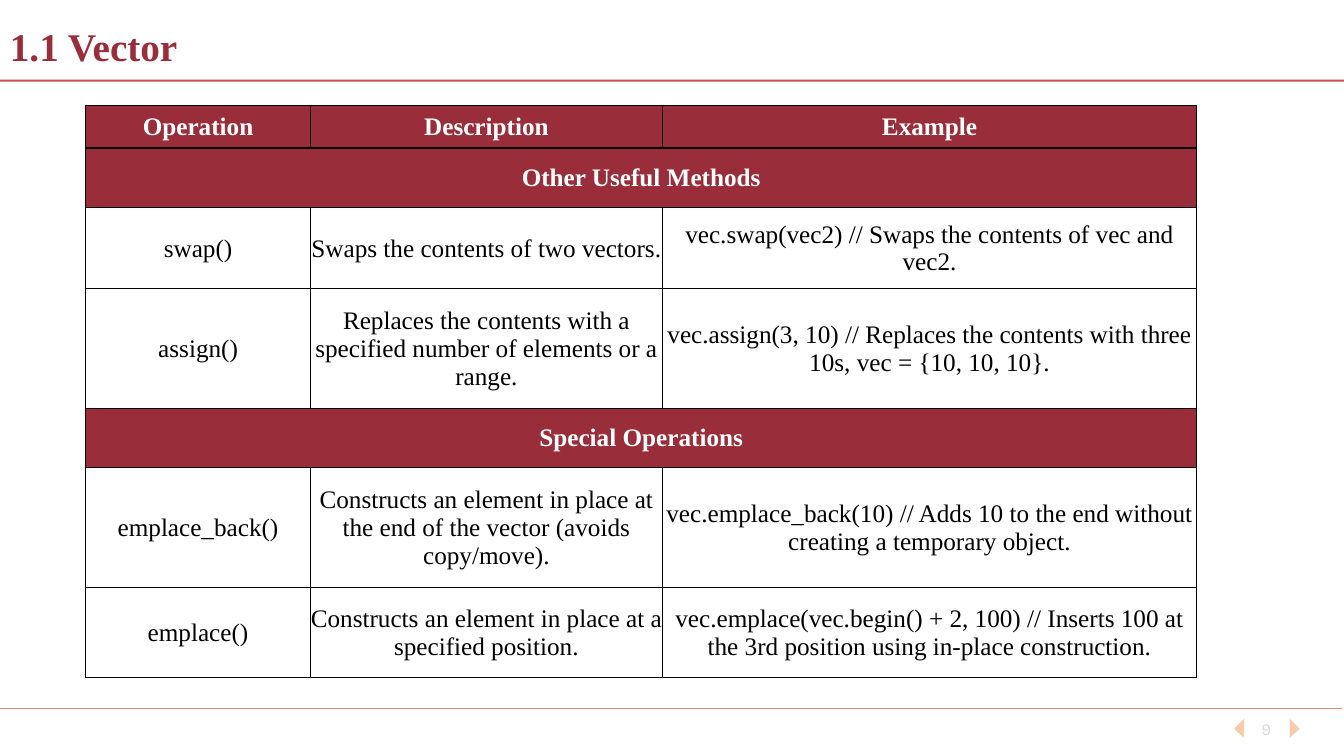
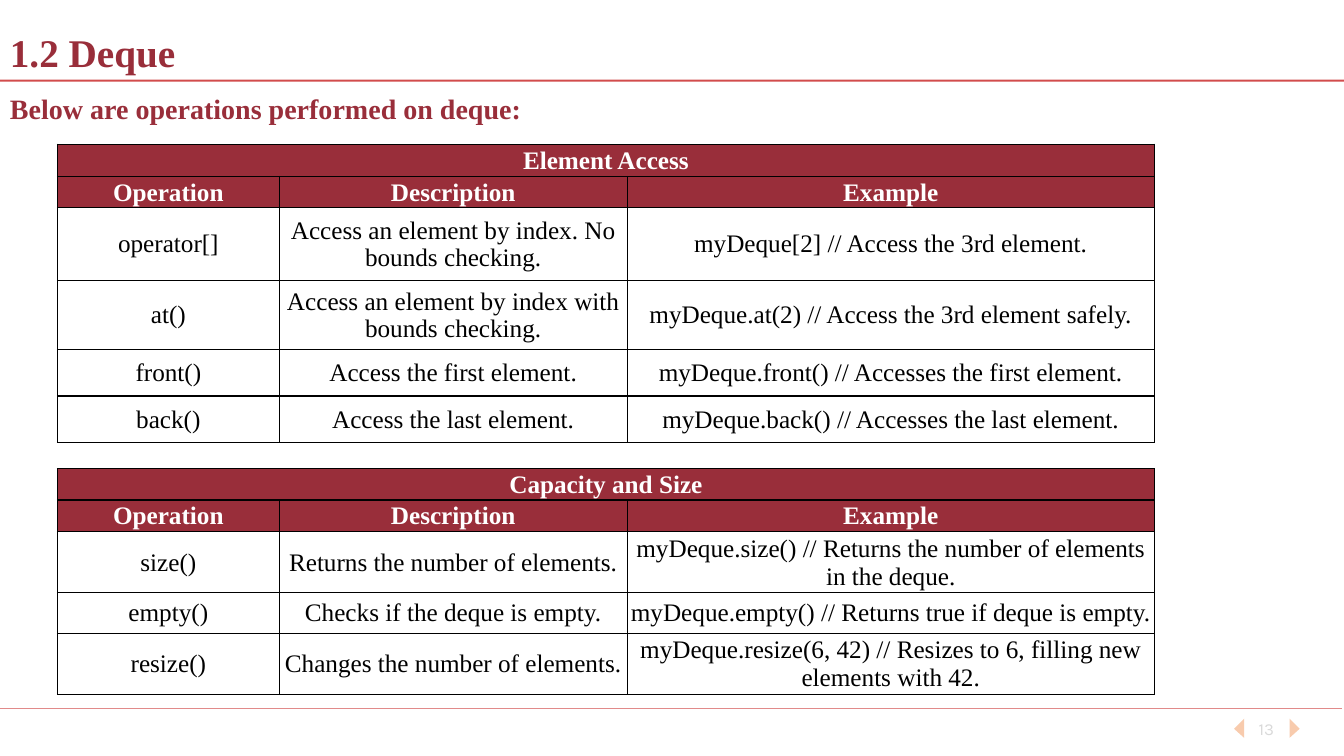
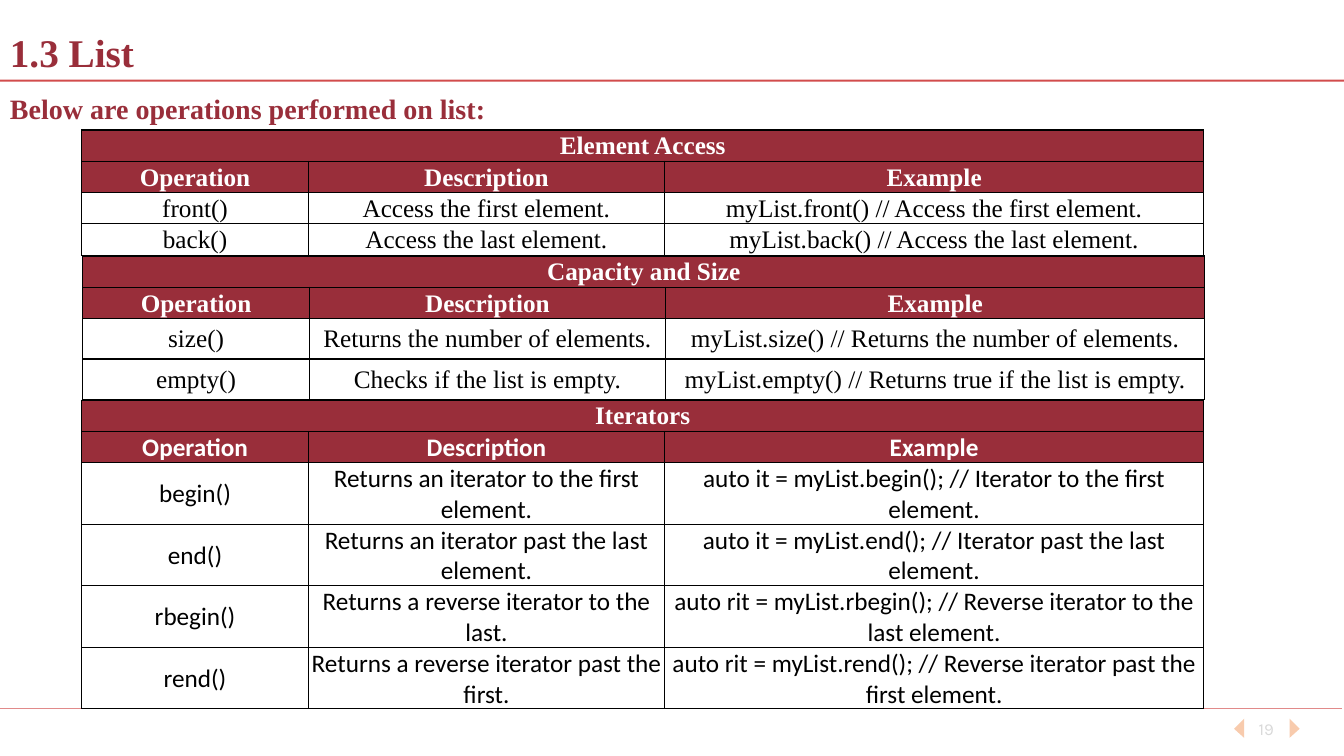
from dataclasses import dataclass

from lxml.etree import SubElement
from pptx import Presentation
from pptx.dml.color import RGBColor as Color
from pptx.enum.shapes import MSO_CONNECTOR as Connector
from pptx.enum.text import MSO_ANCHOR as Anchor, PP_ALIGN as Align
from pptx.oxml.ns import qn
from pptx.util import Inches, Pt


@dataclass(frozen=True)
class Theme:
    crimson: Color = Color.from_string("992E3A")
    rule: Color = Color.from_string("C00000")
    arrow: Color = Color.from_string("F8CBAD")
    number: Color = Color.from_string("D9D9D9")
    white: Color = Color.from_string("FFFFFF")
    black: Color = Color.from_string("000000")
    serif: str = "Times New Roman"
    sans: str = "Calibri"
    footer: str = "Karla"
    title_size: int = 28
    lead_size: int = 20
    table_size: int = 18
    number_size: int = 12


theme = Theme()

HEADINGS = ("Operation", "Description", "Example")
RULES = [(7.03, 13.31, 0.5), (0.8, 13.33, 1.5)]
ARROWS = [
    [(12.79, 7.13), (12.89, 7.23), (12.79, 7.32)],
    [(12.34, 7.32), (12.24, 7.23), (12.34, 7.13)],
]
VECTOR_COLUMNS = (2.23, 3.49, 5.3)
DEQUE_COLUMNS = (2.2, 3.45, 5.23)
LIST_COLUMNS = (2.25, 3.53, 5.35)

SLIDES = [
    {
        "title": "1.1 Vector", "title_top": 0.2, "spacing": 0.9, "lead": None, "number": "9",
        "tables": [
            (0.85, 1.47, VECTOR_COLUMNS, theme.serif, [
                (0.59, ("Other Useful Methods",)),
                (0.8, ("swap()", "Swaps the contents of two vectors.",
                       "vec.swap(vec2) // Swaps the contents of vec and vec2.")),
                (1.19, ("assign()", "Replaces the contents with a specified number of elements or a range.",
                        "vec.assign(3, 10) // Replaces the contents with three 10s, vec = {10, 10, 10}.")),
                (0.59, ("Special Operations",)),
                (1.19, ("emplace_back()",
                        "Constructs an element in place at the end of the vector (avoids copy/move).",
                        "vec.emplace_back(10) // Adds 10 to the end without creating a temporary object.")),
                (0.89, ("emplace()", "Constructs an element in place at a specified position.",
                        "vec.emplace(vec.begin() + 2, 100) // Inserts 100 at the 3rd position "
                        "using in-place construction.")),
            ]),
            (0.85, 1.05, VECTOR_COLUMNS, theme.serif, [(0.41, HEADINGS)]),
        ],
    },
    {
        "title": "1.2 Deque", "title_top": 0.23, "spacing": 1.0,
        "lead": "Below are operations performed on deque:", "number": "13",
        "tables": [
            (0.57, 1.43, DEQUE_COLUMNS, theme.serif, [
                (0.32, ("Element Access",)),
                (0.31, HEADINGS),
                (0.72, ("operator[]", "Access an element by index. No bounds checking.",
                        "myDeque[2] // Access the 3rd element.")),
                (0.69, ("at()", "Access an element by index with bounds checking.",
                        "myDeque.at(2) // Access the 3rd element safely.")),
                (0.46, ("front()", "Access the first element.",
                        "myDeque.front() // Accesses the first element.")),
                (0.46, ("back()", "Access the last element.",
                        "myDeque.back() // Accesses the last element.")),
            ]),
            (0.57, 4.65, DEQUE_COLUMNS, theme.serif, [
                (0.31, ("Capacity and Size",)),
                (0.31, HEADINGS),
                (0.61, ("size()", "Returns the number of elements.",
                        "myDeque.size() // Returns the number of elements in the deque.")),
                (0.4, ("empty()", "Checks if the deque is empty.",
                       "myDeque.empty() // Returns true if deque is empty.")),
                (0.61, ("resize()", "Changes the number of elements.",
                        "myDeque.resize(6, 42) // Resizes to 6, filling new elements with 42.")),
            ]),
        ],
    },
    {
        "title": "1.3 List", "title_top": 0.23, "spacing": 1.0,
        "lead": "Below are operations performed on list:", "number": "19",
        "tables": [
            (0.81, 1.29, LIST_COLUMNS, theme.serif, [
                (0.31, ("Element Access",)),
                (0.31, HEADINGS),
                (0.31, ("front()", "Access the first element.",
                        "myList.front() // Access the first element.")),
                (0.31, ("back()", "Access the last element.",
                        "myList.back() // Access the last element.")),
            ]),
            (0.82, 2.54, LIST_COLUMNS, theme.serif, [
                (0.31, ("Capacity and Size",)),
                (0.31, HEADINGS),
                (0.4, ("size()", "Returns the number of elements.",
                       "myList.size() // Returns the number of elements.")),
                (0.4, ("empty()", "Checks if the list is empty.",
                       "myList.empty() // Returns true if the list is empty.")),
            ]),
            (0.81, 3.97, LIST_COLUMNS, theme.sans, [
                (0.31, ("Iterators",)),
                (0.31, HEADINGS),
                (0.61, ("begin()", "Returns an iterator to the first element.",
                        "auto it = myList.begin(); // Iterator to the first element.")),
                (0.61, ("end()", "Returns an iterator past the last element.",
                        "auto it = myList.end(); // Iterator past the last element.")),
                (0.61, ("rbegin()", "Returns a reverse iterator to the last.",
                        "auto rit = myList.rbegin(); // Reverse iterator to the last element.")),
                (0.61, ("rend()", "Returns a reverse iterator past the first.",
                        "auto rit = myList.rend(); // Reverse iterator past the first element.")),
            ]),
        ],
    },
]


def write(frame, text, size, color, font=theme.serif, bold=True, align=Align.LEFT):
    frame.word_wrap = True
    para = frame.paragraphs[0]
    para.text = text
    para.alignment = align
    para.font.size = Pt(size)
    para.font.name = font
    para.font.bold = bold
    para.font.color.rgb = color
    return para


def add_text(page, left, top, width, height, anchor, *style, **options):
    box = page.shapes.add_textbox(Inches(left), Inches(top), Inches(width), Inches(height))
    box.text_frame.vertical_anchor = anchor
    return write(box.text_frame, *style, **options)


deck = Presentation()
deck.slide_width = Inches(13.33)
deck.slide_height = Inches(7.5)

for content in SLIDES:
    page = deck.slides.add_slide(deck.slide_layouts[6])

    add_text(page, 12.28, 7.03, 0.56, 0.4, Anchor.MIDDLE, content["number"], theme.number_size,
             theme.number, font=theme.footer, bold=False, align=Align.CENTER)

    for start, *others in ARROWS:
        builder = page.shapes.build_freeform(Inches(start[0]), Inches(start[1]))
        builder.add_line_segments([(Inches(x), Inches(y)) for x, y in others])
        arrow = builder.convert_to_shape()
        arrow.shadow.inherit = False
        arrow.fill.solid()
        arrow.fill.fore_color.rgb = theme.arrow
        arrow.line.fill.background()

    for top, right, weight in RULES:
        rule = page.shapes.add_connector(Connector.STRAIGHT, 0, Inches(top), Inches(right), Inches(top))
        rule.line.color.rgb = theme.rule
        rule.line.width = Pt(weight)
        SubElement(next(rule.element.iter(qn("a:srgbClr"))), qn("a:alpha"), val="70000")
        SubElement(rule.element.spPr, qn("a:effectLst"))

    title = add_text(page, 0, content["title_top"], 12.18, 0.57, Anchor.MIDDLE,
                     content["title"], theme.title_size, theme.crimson)
    title.line_spacing = content["spacing"]

    for left, top, widths, body_font, rows in content["tables"]:
        height = sum(row_height for row_height, _ in rows)
        table = page.shapes.add_table(len(rows), len(widths), Inches(left), Inches(top),
                                      Inches(sum(widths)), Inches(height)).table
        table.first_row = False
        table.horz_banding = False
        for column, width in zip(table.columns, widths):
            column.width = Inches(width)

        for row, (row_height, texts) in zip(table.rows, rows):
            row.height = Inches(row_height)
            section = len(texts) == 1
            banner = section or texts == HEADINGS
            for cell in row.cells:
                cell.margin_left = cell.margin_right = cell.margin_bottom = 0
                cell.margin_top = Inches(0.01)
                cell.vertical_anchor = Anchor.MIDDLE
                properties = cell._tc.get_or_add_tcPr()
                for side in ("lnL", "lnR", "lnT", "lnB"):
                    border = SubElement(properties, qn(f"a:{side}"), w=str(Pt(1)))
                    paint = SubElement(border, qn("a:solidFill"))
                    SubElement(paint, qn("a:srgbClr"), val=str(theme.black))
                if banner:
                    cell.fill.solid()
                    cell.fill.fore_color.rgb = theme.crimson
                else:
                    cell.fill.background()
            if section:
                row.cells[0].merge(row.cells[len(widths) - 1])
            for cell, text in zip(row.cells, texts):
                write(cell.text_frame, text, theme.table_size,
                      theme.white if banner else theme.black,
                      font=theme.serif if section else body_font,
                      bold=banner, align=Align.CENTER)

    if content["lead"]:
        add_text(page, 0, 0.86, 8.92, 0.44, Anchor.TOP, content["lead"],
                 theme.lead_size, theme.crimson)

deck.save("out.pptx")
